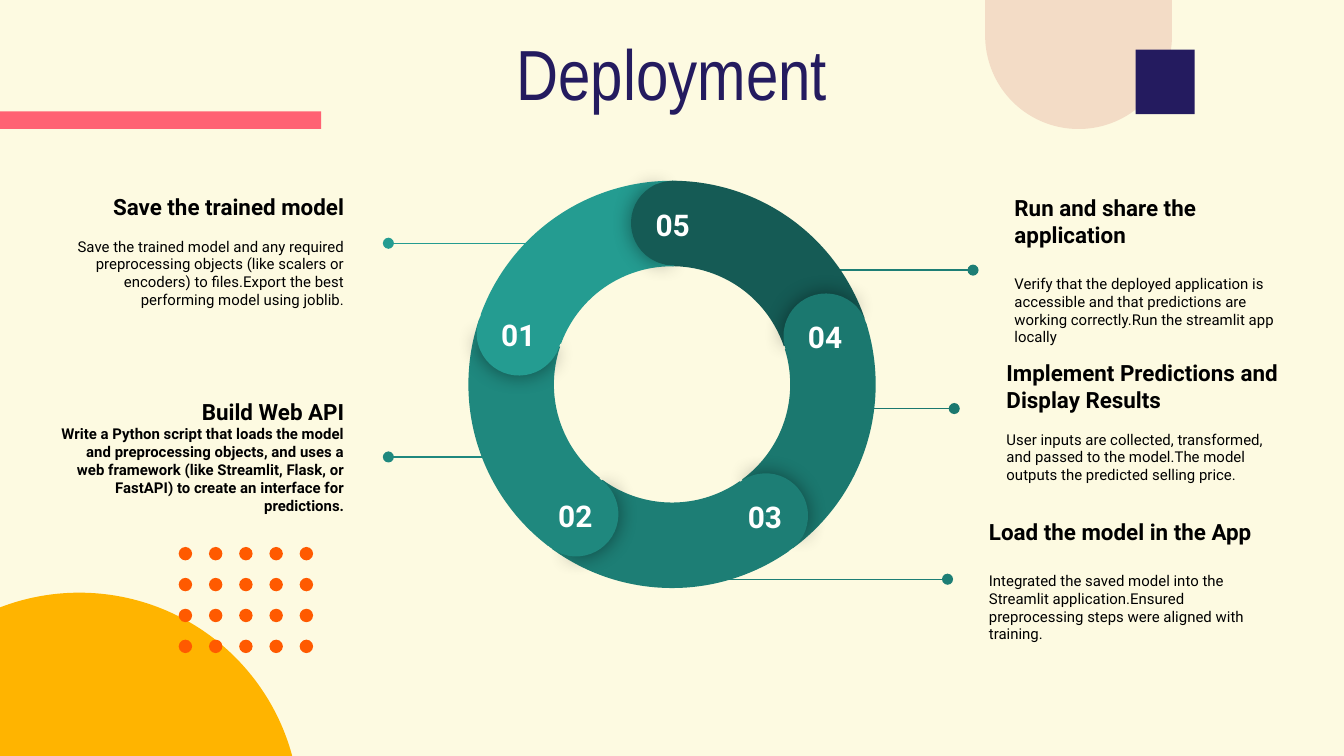
import math

import pptx
import pptx.dml.color
import pptx.enum.shapes
import pptx.enum.text
import pptx.oxml.ns
import pptx.util
from lxml import etree

SHAPE = pptx.enum.shapes.MSO_SHAPE
ALIGN = pptx.enum.text.PP_ALIGN
ANCHOR = pptx.enum.text.MSO_ANCHOR
qn = pptx.oxml.ns.qn

# Grid of 0.1 inch cells
COLS, ROWS = 100, 56.25


def cell(n):
    return pptx.util.Inches(n / 10)


def color(hex_string):
    return pptx.dml.color.RGBColor.from_string(hex_string)


class Deck:
    """Holds the style and the current slide; lengths are in grid cells."""

    CREAM, NAVY, BLACK, WHITE = "FDFAE1", "241B5F", "000000", "FFFFFF"
    PINK, PEACH, AMBER, ORANGE = "FF6273", "F3DCC6", "FFB400", "FF5A00"
    TEALS = ["249C91", "1F887E", "1D7E75", "1B786F", "155B55"]
    TITLE_FONT, BODY_FONT = "Arial Narrow", "Roboto"

    def __init__(self):
        self.prs = pptx.Presentation()
        self.prs.slide_width, self.prs.slide_height = cell(COLS), cell(ROWS)

    def new_slide(self):
        self.s = self.prs.slides.add_slide(self.prs.slide_layouts[6])
        self.s.background.fill.solid()
        self.s.background.fill.fore_color.rgb = color(self.CREAM)

    def shape(self, kind, x, y, w, h, fill, rotation=0, adjustments=()):
        sp = self.s.shapes.add_shape(kind, cell(x), cell(y), cell(w), cell(h))
        sp.shadow.inherit = False
        sp.fill.solid()
        sp.fill.fore_color.rgb = color(fill)
        sp.line.fill.background()
        sp.rotation = rotation % 360
        for i, value in enumerate(adjustments):
            sp.adjustments[i] = value
        return sp

    def glow(self, sp):
        """Soft shadow spreading evenly around a shape."""
        effects = sp._element.spPr.find(qn("a:effectLst"))
        shadow = etree.SubElement(effects, qn("a:outerShdw"), algn="ctr", rotWithShape="0",
                                  blurRad=str(pptx.util.Pt(11.2)), dist="0", dir="0")
        black = etree.SubElement(shadow, qn("a:srgbClr"), val=self.BLACK)
        etree.SubElement(black, qn("a:alpha"), val="43000")

    def leader(self, x1, x2, y, hue):
        """Horizontal line with a dot at its far end."""
        c = self.s.shapes.add_connector(pptx.enum.shapes.MSO_CONNECTOR.STRAIGHT,
                                        cell(x1), cell(y), cell(x2), cell(y))
        c.line.color.rgb = color(hue)
        c.line.width = pptx.util.Pt(0.75)
        etree.SubElement(c.line._get_or_add_ln(), qn("a:tailEnd"), type="oval")
        etree.SubElement(c._element.spPr, qn("a:effectLst"))

    def text(self, x, y, w, h, lines, align, hue, font=BODY_FONT, anchor=ANCHOR.TOP, inset=1):
        """Lines are (text, size, bold) tuples, one for each paragraph."""
        sp = self.s.shapes.add_textbox(cell(x), cell(y), cell(w), cell(h))
        tf = sp.text_frame
        tf.word_wrap = True
        tf.vertical_anchor = anchor
        tf.margin_left = tf.margin_right = cell(1)
        tf.margin_top = tf.margin_bottom = cell(inset)
        tf.text = "\n".join(line[0] for line in lines)
        for p, (_, size, bold) in zip(tf.paragraphs, lines):
            p.alignment = align
            f = p.runs[0].font
            f.name, f.size, f.bold = font, pptx.util.Pt(size), bold
            f.color.rgb = color(hue)
        return tf

    def title(self, x, y, w, h, words):
        tf = self.text(x, y, w, h, [(words, 38, False)], ALIGN.CENTER, self.NAVY,
                       self.TITLE_FONT, inset=0.5)
        tf.paragraphs[0].line_spacing = 0.9

    def step(self, x, y, w, h, heading, body, align, gap, bold):
        tf = self.text(x, y, w, h, [(heading, 12, True), (body, 8, bold)], align,
                       self.BLACK, anchor=ANCHOR.MIDDLE)
        p = tf.paragraphs[1]
        p.space_before, p.space_after = pptx.util.Pt(gap), pptx.util.Pt(16)

    def dots(self, x, y, columns, rows, pitch_x, pitch_y, size):
        for i in range(columns * rows):
            row, column = divmod(i, columns)
            self.shape(SHAPE.FLOWCHART_CONNECTOR, x + column * pitch_x,
                       y + row * pitch_y, size, size, self.ORANGE)

    def ring(self, cx, cy, size, cap):
        """Five overlapping arcs, each starting with a round numbered cap."""
        for i in (1, 3, 4, 2, 0):
            self.shape(SHAPE.BLOCK_ARC, cx - size / 2, cy - size / 2, size, size,
                       self.TEALS[i], 350 - 72.5 * i, (126.03, 168.68, 0.21))
        radius = (size - cap) / 2
        for i, hue in enumerate(self.TEALS):
            angle = math.radians(198.5 - 72 * i)
            x = cx + radius * math.cos(angle) - cap / 2
            y = cy + radius * math.sin(angle) - cap / 2
            turn = 284 - 72 * i
            self.glow(self.shape(SHAPE.PIE, x, y, cap, cap, hue, turn, (61.9, 149.96)))
            self.shape(SHAPE.PIE, x, y, cap, cap, hue, turn - 180.7, (40.28, 171.84))
            self.text(x + 0.3, y + 0.9, 5.6, 2.9, [(f"{i + 1:02}", 16, True)],
                      ALIGN.CENTER, self.WHITE)


# Per step: leader (x1, x2, y), text box, heading, body, alignment, gap, bold body
STEPS = [
    ((42.3, 28.9, 18.1), (3.4, 13.6, 23.2, 10.1), "Save the trained model",
     "Save the trained model and any required preprocessing objects (like scalers or "
     "encoders) to files.Export the best performing model using joblib.",
     ALIGN.RIGHT, 9.4, False),
    ((39.1, 28.9, 34), (3.4, 28.9, 23.2, 10.1), "Build Web API",
     "Write a Python script that loads the model and preprocessing objects, and uses a web "
     "framework (like Streamlit, Flask, or FastAPI) to create an interface for predictions.",
     ALIGN.RIGHT, 0, True),
    ((50.9, 70.5, 43.1), (72.6, 39.1, 22.6, 8.2), "Load the model in the App",
     "Integrated the saved model into the Streamlit application.Ensured preprocessing "
     "steps were aligned with training.",
     ALIGN.LEFT, 14, False),
    ((61.4, 71, 30.4), (73.9, 26.3, 23.2, 10.1), "Implement Predictions and Display Results",
     "User inputs are collected, transformed, and passed to the model.The model outputs "
     "the predicted selling price.",
     ALIGN.LEFT, 9.4, False),
    ((52.9, 72.4, 20.1), (74.5, 16, 22.6, 8.2), "Run and share the application",
     "Verify that the deployed application is accessible and that predictions are working "
     "correctly.Run the streamlit app locally",
     ALIGN.LEFT, 14, False),
]


def main():
    deck = Deck()
    deck.new_slide()

    # Corner decoration and title
    deck.shape(SHAPE.FLOWCHART_CONNECTOR, -10.5, 44.1, 32.8, 32.8, deck.AMBER)
    deck.title(7.9, 2.4, 84.2, 11.5, "Deployment")
    deck.dots(13.3, 40.7, 5, 4, 2.25, 2.3, 1)
    deck.shape(SHAPE.FLOWCHART_DELAY, 73.3, -4.3, 13.9, 13.9, deck.PEACH, 90)
    deck.shape(SHAPE.RECTANGLE, 0, 8.3, 23.9, 1.3, deck.PINK)
    deck.shape(SHAPE.RECTANGLE, 84.5, 3.7, 4.4, 4.8, deck.NAVY)

    # Steps with their leader lines; the last leader shares the third hue
    leader_hues = deck.TEALS[:4] + [deck.TEALS[2]]
    for (line, box, *content), hue in zip(STEPS, leader_hues):
        deck.leader(*line, hue)
        deck.step(*box, *content)

    # Numbered ring over the inner ends of the leaders
    deck.ring(50, 28.6, 30.3, 6.3)

    deck.prs.save("out.pptx")


if __name__ == "__main__":
    main()
